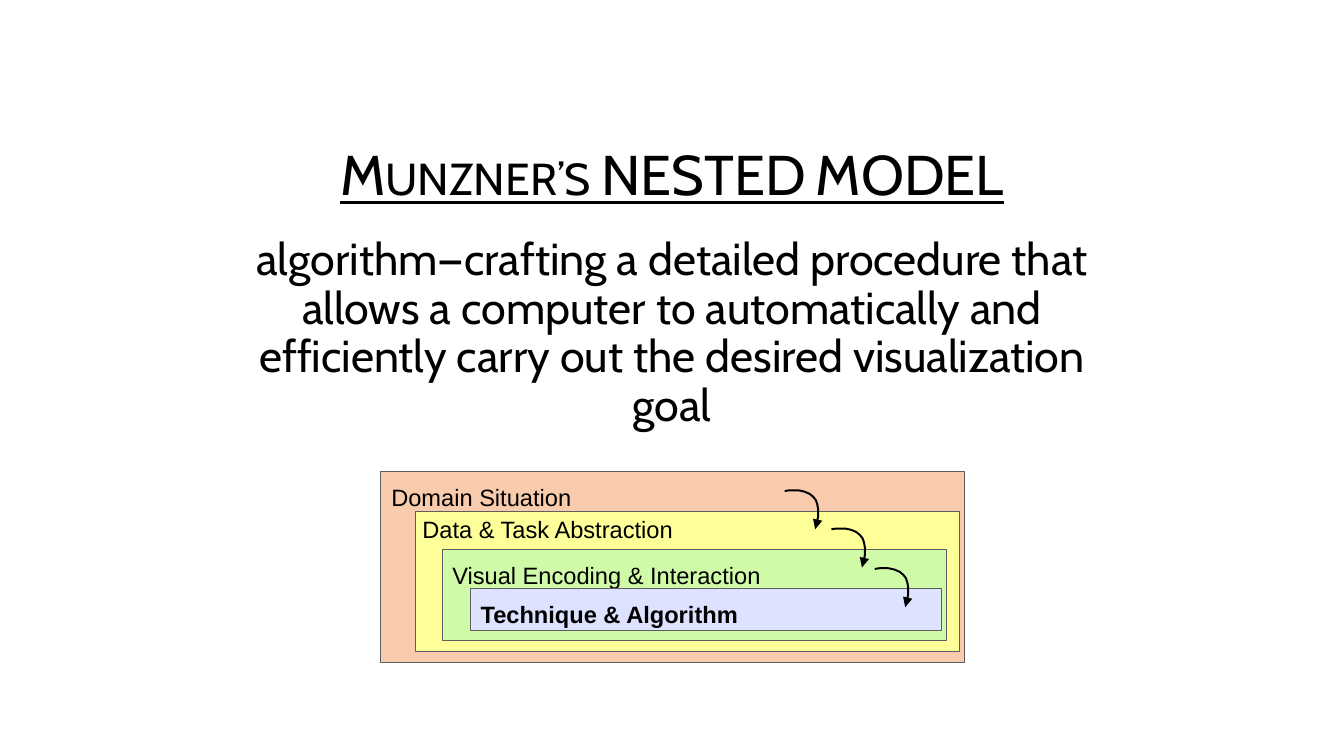
from pptx import Presentation
from pptx import util as u
from pptx.dml.color import RGBColor
from pptx.enum import shapes, text

PX = 9144  # EMU per px, 100 px to the inch
BLACK, OUTLINE = "000000", "5E5E5E"

TITLE = "Munzner’s NESTED MODEL"
DEFINITION = ("algorithm—crafting a detailed procedure that allows a computer to "
              "automatically and efficiently carry out the desired visualization goal")

# label, (left, top, width, height), fill, bold, (left inset, top inset), line spacing
LAYERS = [
    ("Domain Situation", (537, 665, 823, 270), "F8CBAD", False, (15, 0), 1.4),
    ("Data & Task Abstraction", (586, 722, 767, 197), "FFFF99", False, (10, 5), 1.0),
    ("Visual Encoding & Interaction", (624, 776, 711, 128), "CFFBA8", False, (14, 0), 1.39),
    ("Technique & Algorithm", (664, 831, 664, 59), "DDE2FF", True, (14, 0), 1.39),
]

# Each arrow leads one layer inwards; its outline is relative to its origin
ARROW_ORIGINS = [(1234, 802), (1173, 746), (1107, 692)]
ARC = [(0, 1), (7, 0), (13, 0), (19, 0), (24, 1), (28, 2), (35, 5), (40, 9), (44, 14),
       (46, 20), (47, 26), (47, 32), (47, 38), (46, 43)]
HEAD = [(40, 40), (43, 55), (53, 43)]


def px(n):
    return u.Emu(n * PX)


def color(hex_string):
    return RGBColor.from_string(hex_string)


def add_run(p, words, font, size, bold=False):
    r = p.add_run()
    r.text = words
    r.font.name, r.font.size, r.font.bold = font, u.Pt(size), bold
    r.font.color.rgb = color(BLACK)
    return r


def set_frame(tf, left=0, top=0, right=0):
    tf.word_wrap = True
    tf.vertical_anchor = text.MSO_ANCHOR.TOP
    tf.margin_left, tf.margin_top, tf.margin_right = px(left), px(top), px(right)
    tf.margin_bottom = 0


def add_outline(parent, origin, points, closed):
    x, y = origin
    moved = [(x + dx, y + dy) for dx, dy in points]
    builder = parent.build_freeform(*moved[0], scale=PX)
    builder.add_line_segments(moved[1:], close=closed)
    sp = builder.convert_to_shape()
    sp.shadow.inherit = False
    return sp


prs = Presentation()
prs.slide_width, prs.slide_height = px(1896), px(1067)
s = prs.slides.add_slide(prs.slide_layouts[6])

# Heading and definition
tf = s.shapes.add_textbox(px(348), px(208), px(1200), px(420)).text_frame
set_frame(tf, left=10, right=10)
heading, definition = tf.paragraphs[0], tf.add_paragraph()
for p in (heading, definition):
    p.alignment = text.PP_ALIGN.CENTER
    p.line_spacing = 0.9
heading.space_after = u.Pt(12)
definition.space_before = u.Pt(18)
r = add_run(heading, TITLE, "Cabin", 56.9)
r.font.underline = True
r.font._element.set("cap", "small")
add_run(definition, DEFINITION, "Cabin", 45.5)

# Nested layers
diagram = s.shapes.add_group_shape().shapes
for label, box, fill, bold, inset, spacing in LAYERS:
    sp = diagram.add_shape(shapes.MSO_SHAPE.RECTANGLE, *map(px, box))
    sp.shadow.inherit = False
    sp.fill.solid()
    sp.fill.fore_color.rgb = color(fill)
    sp.line.color.rgb = color(OUTLINE)
    sp.line.width = u.Pt(0.75)
    set_frame(sp.text_frame, *inset)
    p = sp.text_frame.paragraphs[0]
    p.alignment = text.PP_ALIGN.LEFT
    p.line_spacing = spacing
    add_run(p, label, "Arial", 24, bold)

# Curved arrows between layers
for origin in ARROW_ORIGINS:
    arc = add_outline(diagram, origin, ARC, closed=False)
    arc.fill.background()
    arc.line.color.rgb = color(BLACK)
    arc.line.width = u.Pt(2)
    head = add_outline(diagram, origin, HEAD, closed=True)
    head.fill.solid()
    head.fill.fore_color.rgb = color(BLACK)
    head.line.fill.background()

prs.save("out.pptx")
